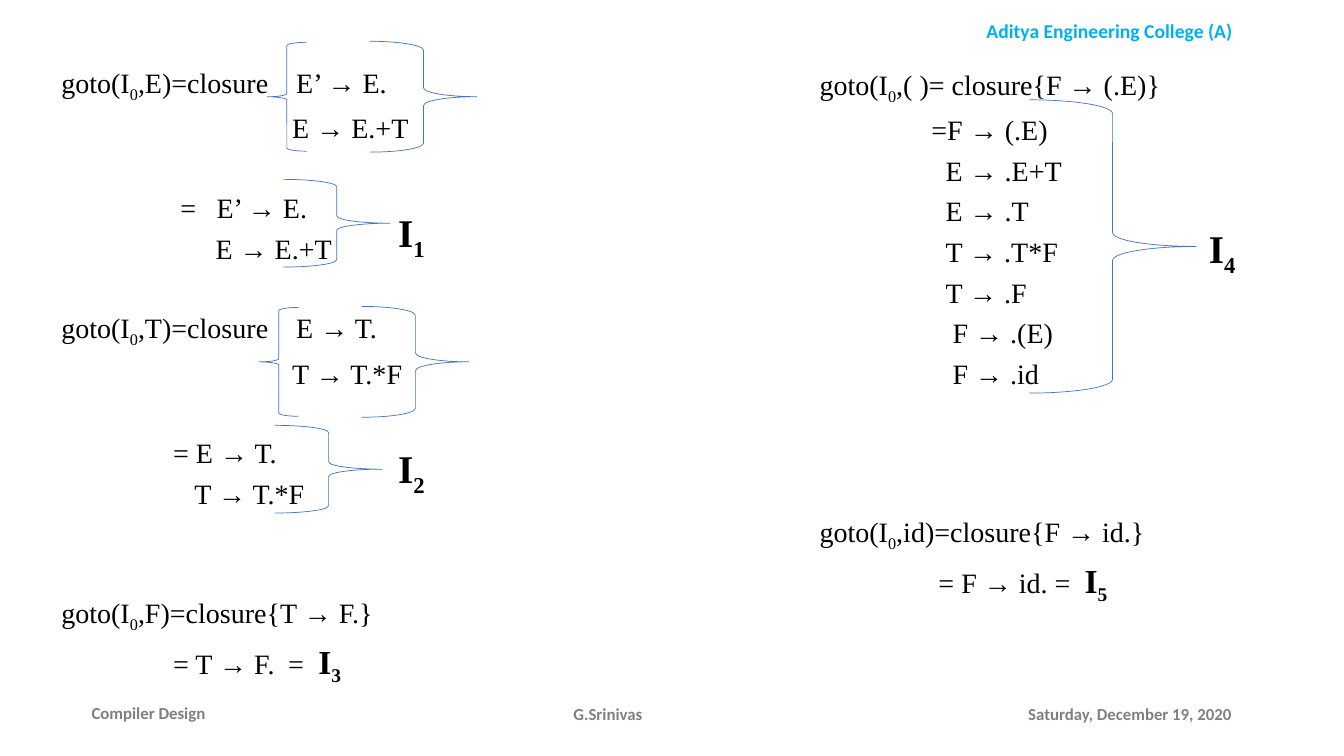
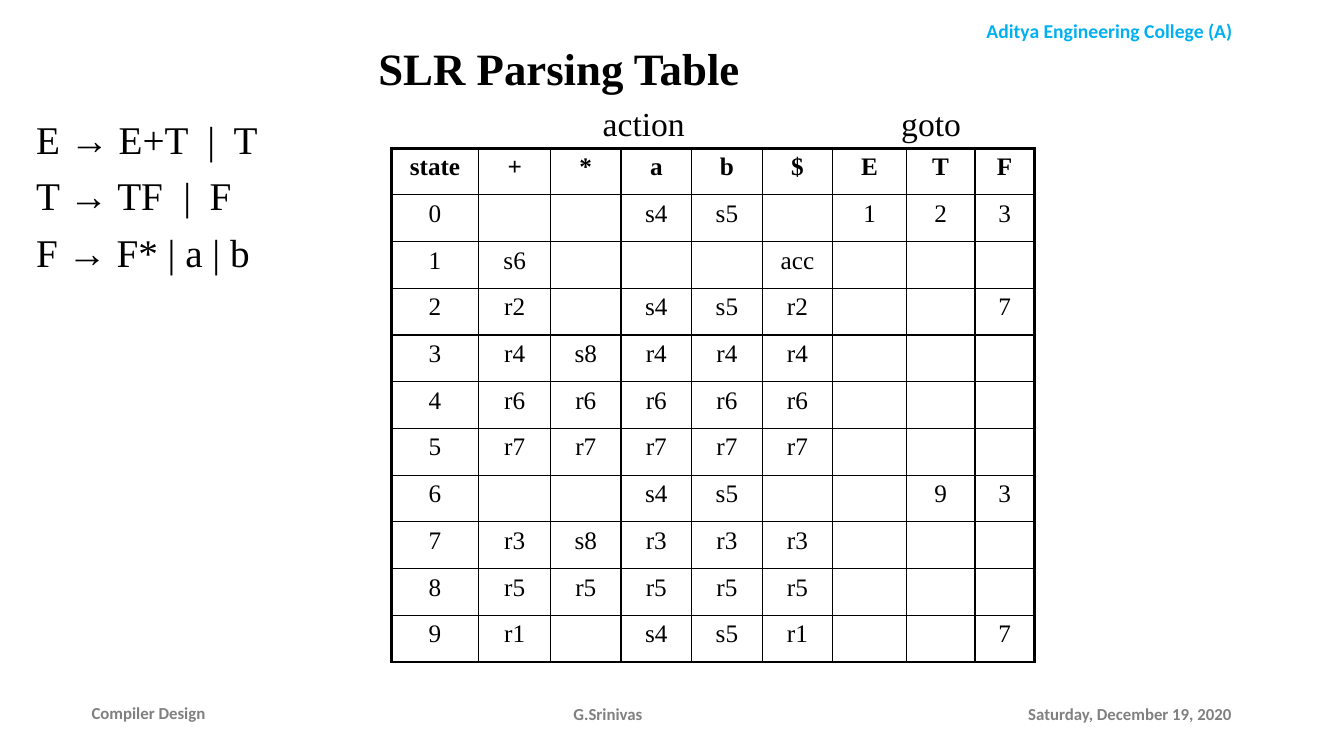
from lxml.etree import SubElement
from pptx import Presentation
from pptx.dml.color import RGBColor as RGB
from pptx.enum.shapes import MSO_SHAPE as Kind
from pptx.enum.text import MSO_ANCHOR as Anchor, PP_ALIGN as Align
from pptx.oxml.ns import qn
from pptx.util import Pt

UNIT = 9144
SERIF, SANS = "Times New Roman", "Calibri"
BLACK, GREY, CYAN, BLUE = "000000", "808080", "00B0F0", "4472C4"


def px(n):
    return n * UNIT


def hue(code):
    return RGB.from_string(code)


def put_tabs(para, stops):
    tabs = SubElement(para._p.get_or_add_pPr(), qn("a:tabLst"))
    for stop in stops:
        SubElement(tabs, qn("a:tab"), pos=str(px(stop)), algn="l")


def write(frame, lines, size=20, color=BLACK, bold=False, font=SERIF,
          align=Align.LEFT, anchor=Anchor.TOP):
    """Lines are (text, tab stops, lines skipped); ~x~ is low, ^ starts a bold end."""
    frame.word_wrap = True
    frame.vertical_anchor = anchor
    for i, (text, stops, skip) in enumerate(lines):
        para = frame.paragraphs[0] if i == 0 else frame.add_paragraph()
        para.alignment = align
        if i:
            para.space_before = Pt(size * (0.25 + 1.4 * skip))
        if stops:
            put_tabs(para, stops)
        for large, part in enumerate(text.split("^")):
            for low, bit in enumerate(part.split("~")):
                if not bit:
                    continue
                run = para.add_run()
                run.text = bit
                run.font.size = Pt(size + 4 * large)
                run.font.bold = bold or bool(large)
                run.font.name = font
                run.font.color.rgb = hue(color)
                if low % 2:
                    run._r.get_or_add_rPr().set("baseline", "-25000")


def label(slide, box, text, **form):
    block(slide, box, [(text, [], 0)], **form)


def block(slide, box, lines, **form):
    area = slide.shapes.add_textbox(*map(px, box))
    write(area.text_frame, lines, **form)


def frame(slide):
    label(slide, (909, 14, 383, 34), "Aditya Engineering College (A)",
          size=14, color=CYAN, bold=True, font=SANS, align=Align.CENTER)
    for x, y, w, text, align in [
        (81, 687, 211, "Compiler Design", Align.LEFT),
        (1010, 688, 230, "Saturday, December 19, 2020", Align.LEFT),
        (453, 688, 300, "G.Srinivas", Align.CENTER),
    ]:
        label(slide, (x, y, w, 40), text, size=12, color=GREY, bold=True,
              font=SANS, align=align, anchor=Anchor.MIDDLE)


def brace(slide, kind, box):
    shape = slide.shapes.add_shape(kind, *map(px, box))
    shape.shadow.inherit = False
    shape.fill.background()
    shape.line.color.rgb = hue(BLUE)
    shape.line.width = Pt(0.5)


def pair(slide, x, y):
    brace(slide, Kind.LEFT_BRACE, (x, y + 1, 39, 108))
    brace(slide, Kind.RIGHT_BRACE, (x + 102, y, 106, 110))


def state(slide, box, mark, name):
    brace(slide, Kind.RIGHT_BRACE, box)
    label(slide, (*mark, 58, 57), name, size=28, bold=True)


def left_sets(slide):
    block(slide, (51, 60, 616, 658), [
        ("goto(I~0~,E)=closure\tE’ → E.", [233], 0),
        ("\tE → E.+T", [229], 0),
        ("\t=\tE’ → E.", [118, 154], 1),
        ("\tE → E.+T", [153], 0),
        ("goto(I~0~,T)=closure\tE → T.", [233], 1),
        ("\tT → T.*F", [229], 0),
        ("\t= E → T.", [111], 1),
        ("\tT → T.*F", [132], 0),
        ("goto(I~0~,F)=closure{T → F.}", [], 2),
        ("\t= T → F.\t=\t^I~3~", [111, 225, 255], 0),
    ])
    pair(slide, 265, 41)
    pair(slide, 257, 304)
    state(slide, (281, 178, 106, 87), (385, 202), "I~1~")
    state(slide, (273, 422, 106, 87), (385, 436), "I~2~")


def right_sets(slide):
    block(slide, (803, 62, 437, 537), [
        ("goto(I~0~,( )= closure{F → (.E)}", [], 0),
        ("\t=F → (.E)", [111], 0),
        *[("\t" + rule, [125], 0)
          for rule in ("E → .E+T", "E → .T", "T → .T*F", "T → .F")],
        *[("\t" + rule, [132], 0) for rule in ("F → .(E)", "F → .id")],
        ("goto(I~0~,id)=closure{F → id.}", [], 3),
        ("\t= F → id. =\t^I~5~", [118, 263], 0),
    ])
    state(slide, (1021, 99, 165, 291), (1189, 218), "I~4~")


def edge(cell, side, width):
    line = SubElement(cell._tc.get_or_add_tcPr(), qn("a:" + side),
                      w=str(Pt(width)))
    fill = SubElement(line, qn("a:solidFill"))
    SubElement(fill, qn("a:srgbClr"), val=BLACK)


def grid(slide, x, y, high):
    rows = [row.split(",") for row in (
        "state,+,*,a,b,$,E,T,F",
        "0,,,s4,s5,,1,2,3",
        "1,s6,,,,acc,,,",
        "2,r2,,s4,s5,r2,,,7",
        "3,r4,s8,r4,r4,r4,,,",
        "4,r6,r6,r6,r6,r6,,,",
        "5,r7,r7,r7,r7,r7,,,",
        "6,,,s4,s5,,,9,3",
        "7,r3,s8,r3,r3,r3,,,",
        "8,r5,r5,r5,r5,r5,,,",
        "9,r1,,s4,s5,r1,,,7",
    )]
    wide = [87, 71, 70, 70, 70, 70, 73, 68, 59]
    table = slide.shapes.add_table(
        len(rows), len(wide), px(x), px(y), px(sum(wide)), px(high)).table
    table.first_row = table.horz_banding = False
    for col, w in zip(table.columns, wide):
        col.width = px(w)
    for r, row in enumerate(rows):
        table.rows[r].height = px(high) // len(rows)
        for c, text in enumerate(row):
            cell = table.cell(r, c)
            for side, outer in (("lnL", c == 0), ("lnR", c == len(wide) - 1),
                                ("lnT", r == 0), ("lnB", False)):
                edge(cell, side, 2.25 if outer else 1)
            cell.fill.background()
            write(cell.text_frame, [(text, [], 0)], size=18, bold=r == 0,
                  align=Align.CENTER)


def head(slide, box, text):
    title = slide.shapes.title
    title.left, title.top, title.width, title.height = map(px, box)
    write(title.text_frame, [(text, [], 0)], size=32, bold=True,
          align=Align.CENTER, anchor=Anchor.MIDDLE)


def goto_page(deck):
    slide = deck.slides.add_slide(deck.slide_layouts[6])
    frame(slide)
    left_sets(slide)
    right_sets(slide)


def table_page(deck):
    slide = deck.slides.add_slide(deck.slide_layouts[5])
    frame(slide)
    head(slide, (42, 17, 1025, 100), "SLR Parsing Table")
    grid(slide, 388, 147, 510)
    label(slide, (588, 97, 110, 50), "action", size=24)
    label(slide, (884, 97, 90, 50), "goto", size=24)
    block(slide, (26, 109, 297, 170), [
        ("E → E+T\t|\tT", [170, 196], 0),
        ("T → TF\t|\tF", [146, 172], 0),
        ("F → F* | a | b", [], 0),
    ], size=28)


def main():
    deck = Presentation()
    deck.slide_width, deck.slide_height = px(1333), px(750)
    goto_page(deck)
    table_page(deck)
    deck.save("out.pptx")


if __name__ == "__main__":
    main()
